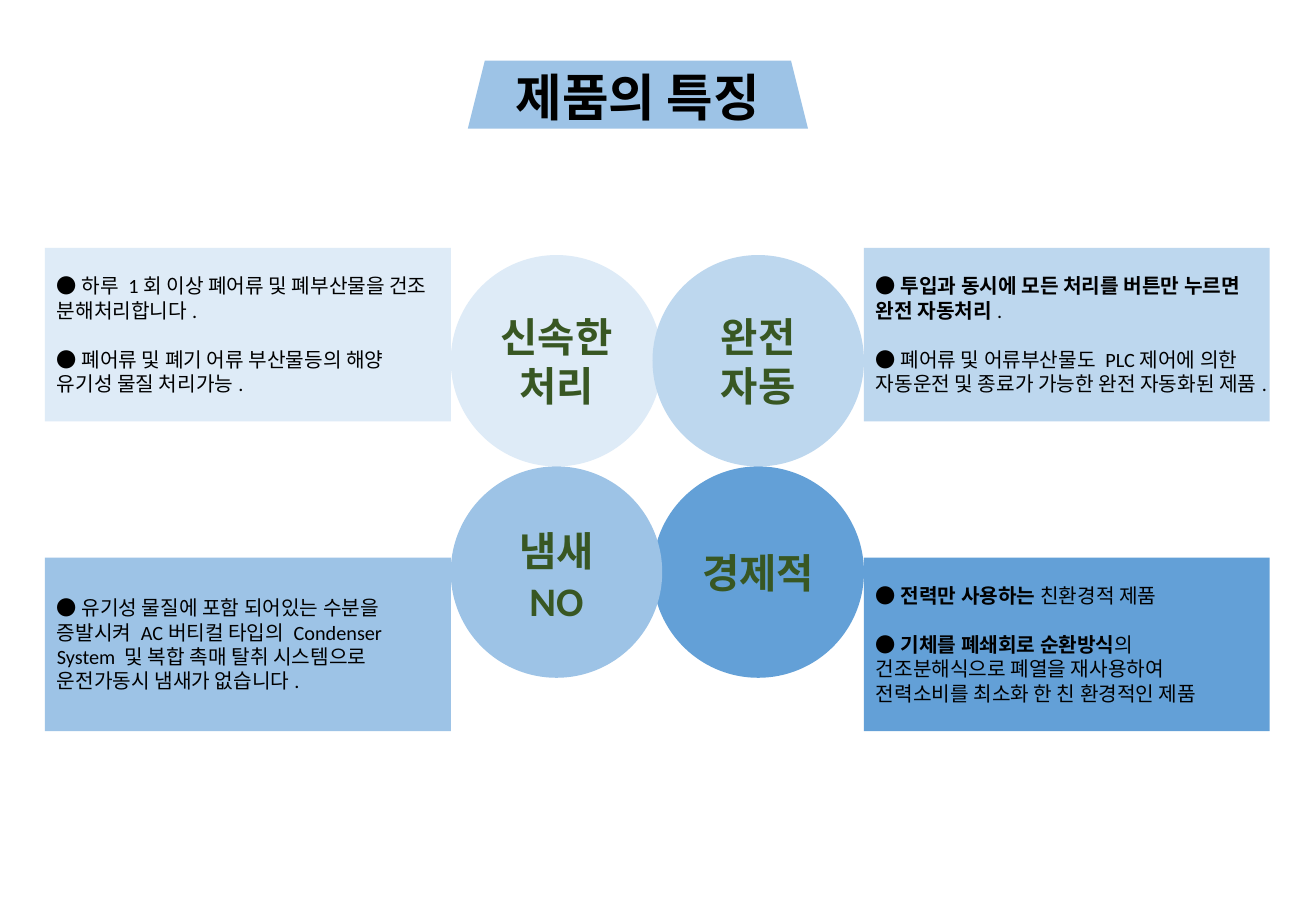
from pptx import Presentation
from pptx.dml.color import RGBColor
from pptx.enum import shapes, text
from pptx.util import Inches, Pt

KIND = shapes.MSO_SHAPE
BLACK, GREEN = "000000", "385723"

# A paragraph is a list of runs: (text, format that differs).
BOLD = {"bold": True}
TITLE = [[("제품의 특징", {})]]

# column, row, fill, circle label, box text; from back to front
PARTS = [
    (0, 0, "DEEBF7", [[("신속한처리", {})]], [
        [("● 하루 1회 이상 폐어류 및 폐부산물을 건조 분해처리합니다.", {})],
        [("● 폐어류 및 폐기 어류 부산물등의 해양 유기성 물질 처리가능.", {})]]),
    (1, 0, "BDD7EE", [[("완전", {})], [("자동", {})]], [
        [("● ", {}), ("투입과 동시에 모든 처리를 버튼만 누르면 완전 자동처리", BOLD),
         (".", {})],
        [("● 폐어류 및 어류부산물도 PLC제어에 의한 자동운전 및 종료가 "
          "가능한 완전 자동화된 제품.", {})]]),
    (1, 1, "63A0D7", [[("경제적", {})]], [
        [("● 전력만 사용하는 ", BOLD), ("친환경적 제품", {})],
        [("● ", {}), ("기체를 폐쇄회로 순환방식", BOLD),
         ("의 건조분해식으로 폐열을 재사용하여 전력소비를 최소화 한 "
          "친 환경적인 제품", {})]]),
    (0, 1, "9DC3E6", [[("냄새", {}), (" ", {"size": 28}), ("NO", {})]], [
        [("● 유기성 물질에 포함 되어있는 수분을 증발시켜 AC버티컬 타입의 "
          "Condenser System 및 복합 촉매 탈취 시스템으로 운전가동시 "
          "냄새가 없습니다.", {})]]),
]

CIRCLE_X, CIRCLE_Y, CIRCLE = (3.71, 5.37), (2.1, 3.84), 1.74
BOX_X, BOX_Y, BOX_W, BOX_H = (0.37, 7.11), (2.04, 4.59), 3.34, 1.43


def rgb(code):
    return RGBColor.from_string(code)


def write(shape, paras, size=12, color=BLACK, bold=False, center=False, gap=0):
    frame = shape.text_frame
    frame.word_wrap = True
    frame.vertical_anchor = text.MSO_ANCHOR.MIDDLE
    for i, runs in enumerate(paras):
        para = frame.add_paragraph() if i else frame.paragraphs[0]
        para.alignment = text.PP_ALIGN.CENTER if center else text.PP_ALIGN.LEFT
        if i:
            para.space_before = Pt(gap)
        for words, form in runs:
            run = para.add_run()
            run.text = words
            font = run.font
            font.name = "Calibri"
            font.size = Pt(form.get("size", size))
            font.bold = form.get("bold", bold)
            font.color.rgb = rgb(color)


def draw(kind, x, y, w, h, fill, paras, **form):
    shape = slide.shapes.add_shape(kind, *map(Inches, (x, y, w, h)))
    shape.shadow.inherit = False
    shape.fill.solid()
    shape.fill.fore_color.rgb = rgb(fill)
    shape.line.fill.background()
    write(shape, paras, **form)


deck = Presentation()
deck.slide_width, deck.slide_height = Inches(10.83), Inches(7.5)
slide = deck.slides.add_slide(deck.slide_layouts[6])

draw(KIND.TRAPEZOID, 3.85, 0.5, 2.8, 0.56, "9DC3E6", TITLE,
     size=30, bold=True, center=True)
for col, row, fill, label, _ in PARTS:
    draw(KIND.OVAL, CIRCLE_X[col], CIRCLE_Y[row], CIRCLE, CIRCLE, fill, label,
         size=24, color=GREEN, bold=True, center=True)
for col, row, fill, _, body in PARTS:
    draw(KIND.RECTANGLE, BOX_X[col], BOX_Y[row], BOX_W, BOX_H, fill, body,
         gap=14.6)

deck.save("out.pptx")
